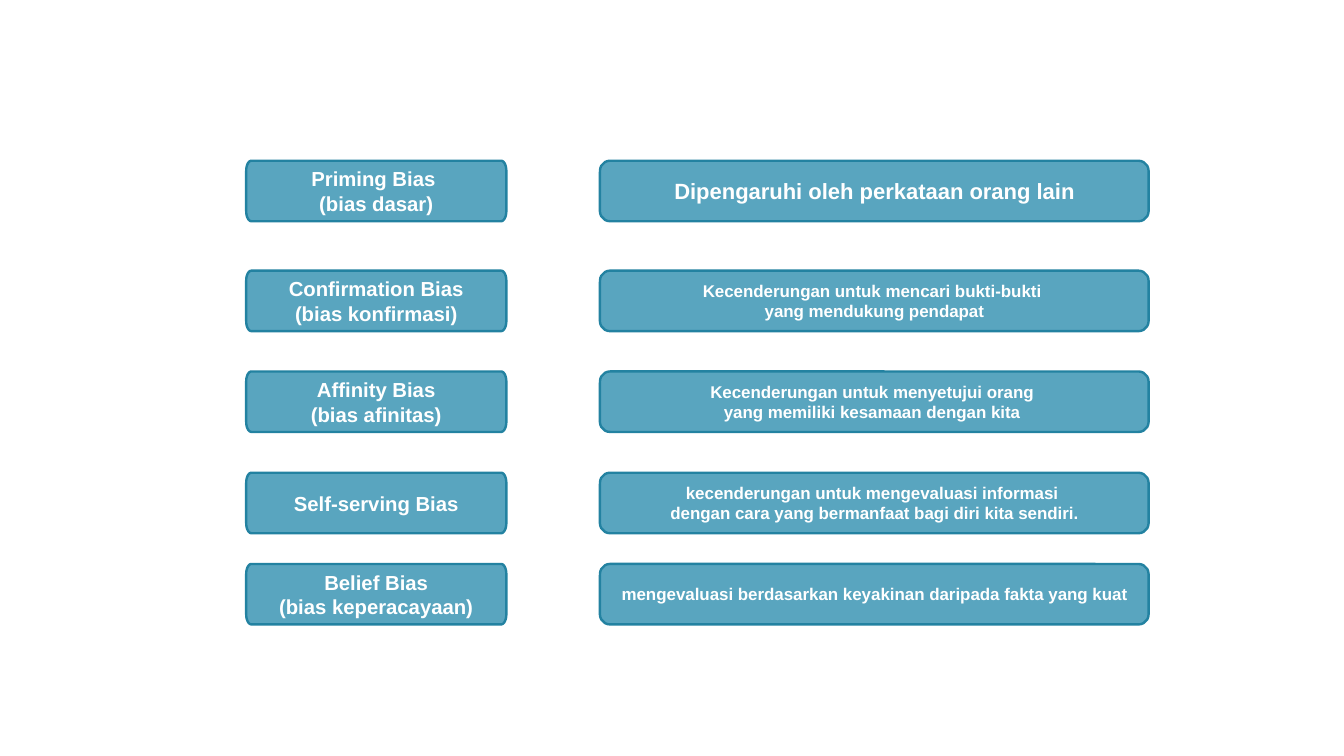
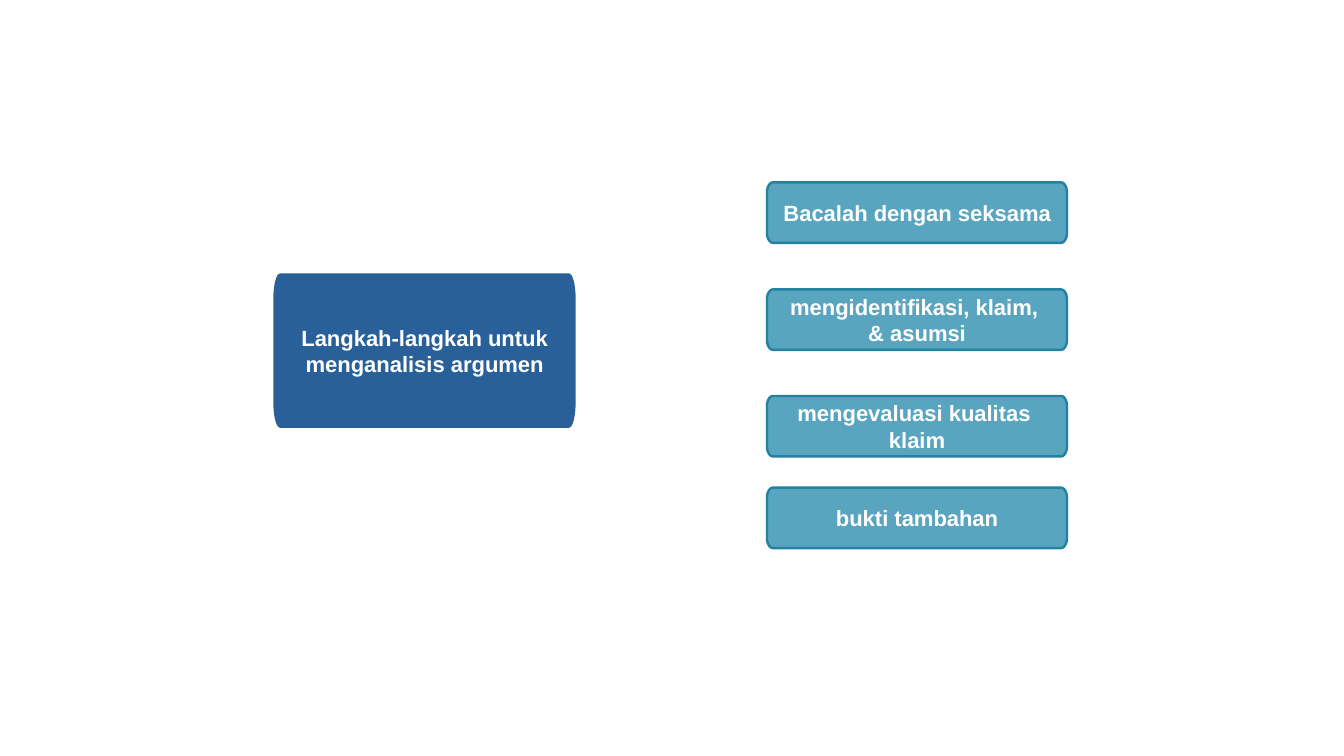
from math import cos, radians, sin

from pptx import Presentation
from pptx.dml.color import RGBColor
from pptx.enum.shapes import MSO_SHAPE
from pptx.enum.text import MSO_ANCHOR, PP_ALIGN
from pptx.util import Cm, Pt

ROUNDED = MSO_SHAPE.ROUNDED_RECTANGLE
MIDDLE = MSO_ANCHOR.MIDDLE
CENTER = PP_ALIGN.CENTER

WHITE = RGBColor(0xFF, 0xFF, 0xFF)
TEAL = RGBColor(0x59, 0xA5, 0xBF)
DARK_TEAL = RGBColor(0x23, 0x82, 0xA1)
BLUE = RGBColor(0x2A, 0x60, 0x99)

FONT = "Arial"
BOX_HEIGHT = 1.26
CORNER = 1 / 6
NARROW_CORNER = 0.02

BIAS_ROWS = [
    (3.35, ["Priming Bias ", "(bias dasar)"],
     ["Dipengaruhi oleh perkataan orang lain"], 13),
    (5.64, ["Confirmation Bias", "(bias konfirmasi)"],
     ["Kecenderungan untuk mencari bukti-bukti ", "yang mendukung pendapat"], 10),
    (7.74, ["Affinity Bias", "(bias afinitas)"],
     ["Kecenderungan untuk menyetujui orang ", "yang memiliki kesamaan dengan kita "], 10),
    (9.85, ["Self-serving Bias"],
     ["kecenderungan untuk mengevaluasi informasi ",
      "dengan cara yang bermanfaat bagi diri kita sendiri."], 10),
    (11.75, ["Belief Bias", "(bias keperacayaan)"],
     ["mengevaluasi berdasarkan keyakinan daripada fakta yang kuat"], 10),
]

STEPS = [
    (3.8, ["Bacalah dengan seksama"]),
    (6.03, ["mengidentifikasi, klaim, ", "& asumsi"]),
    (8.25, ["mengevaluasi kualitas ", "klaim"]),
    (10.16, ["bukti tambahan"]),
]


def style_box(sp, lines, size, fill=TEAL, outline=DARK_TEAL):
    """Colour a box and fill it with centred bold white lines."""
    sp.shadow.inherit = False
    sp.fill.solid()
    sp.fill.fore_color.rgb = fill
    sp.line.color.rgb = outline
    sp.line.width = Pt(1.42)
    tf = sp.text_frame
    tf.word_wrap = False
    tf.vertical_anchor = MIDDLE
    for i, line in enumerate(lines):
        p = tf.paragraphs[0] if i == 0 else tf.add_paragraph()
        p.text = line
        p.alignment = CENTER
        p.font.name = FONT
        p.font.size = Pt(size)
        p.font.bold = True
        p.font.color.rgb = WHITE


def add_wide_box(slide, left, top, width, lines, size):
    """Add a box with circular corners."""
    sp = slide.shapes.add_shape(ROUNDED, Cm(left), Cm(top), Cm(width), Cm(BOX_HEIGHT))
    sp.adjustments[0] = CORNER
    style_box(sp, lines, size)


def add_label_box(slide, left, top, width, lines, size, height=BOX_HEIGHT, **colors):
    """Add a box whose elliptical corners are narrower than they are tall."""
    rx, ry = width * NARROW_CORNER, height * CORNER
    near_x, far_x = left + rx, left + width - rx
    near_y, far_y = top + ry, top + height - ry
    centers = [(far_x, far_y), (near_x, far_y), (near_x, near_y), (far_x, near_y)]
    points = [
        (Cm(x + rx * cos(radians(a))), Cm(y + ry * sin(radians(a))))
        for quarter, (x, y) in enumerate(centers)
        for a in range(quarter * 90, quarter * 90 + 91, 10)
    ]
    builder = slide.shapes.build_freeform(*points[0])
    builder.add_line_segments(points[1:], close=True)
    style_box(builder.convert_to_shape(), lines, size, **colors)


def build_biases(slide):
    """Pair each kind of bias with its meaning."""
    for top, name, meaning, size in BIAS_ROWS:
        add_label_box(slide, 5.13, top, 5.42, name, 12)
        add_wide_box(slide, 12.5, top, 11.43, meaning, size)


def build_steps(slide):
    """Show the topic beside the steps of analysing an argument."""
    add_label_box(slide, 5.72, 5.72, 6.25,
                  ["Langkah-langkah untuk", "menganalisis argumen"], 13,
                  height=3.17, fill=BLUE, outline=BLUE)
    for top, lines in STEPS:
        add_label_box(slide, 15.98, top, 6.25, lines, 13)


def main():
    """Build both slides and save them."""
    prs = Presentation()
    prs.slide_width, prs.slide_height = Cm(28), Cm(15.75)
    for build in (build_biases, build_steps):
        build(prs.slides.add_slide(prs.slide_layouts[6]))
    prs.save("out.pptx")


if __name__ == "__main__":
    main()
